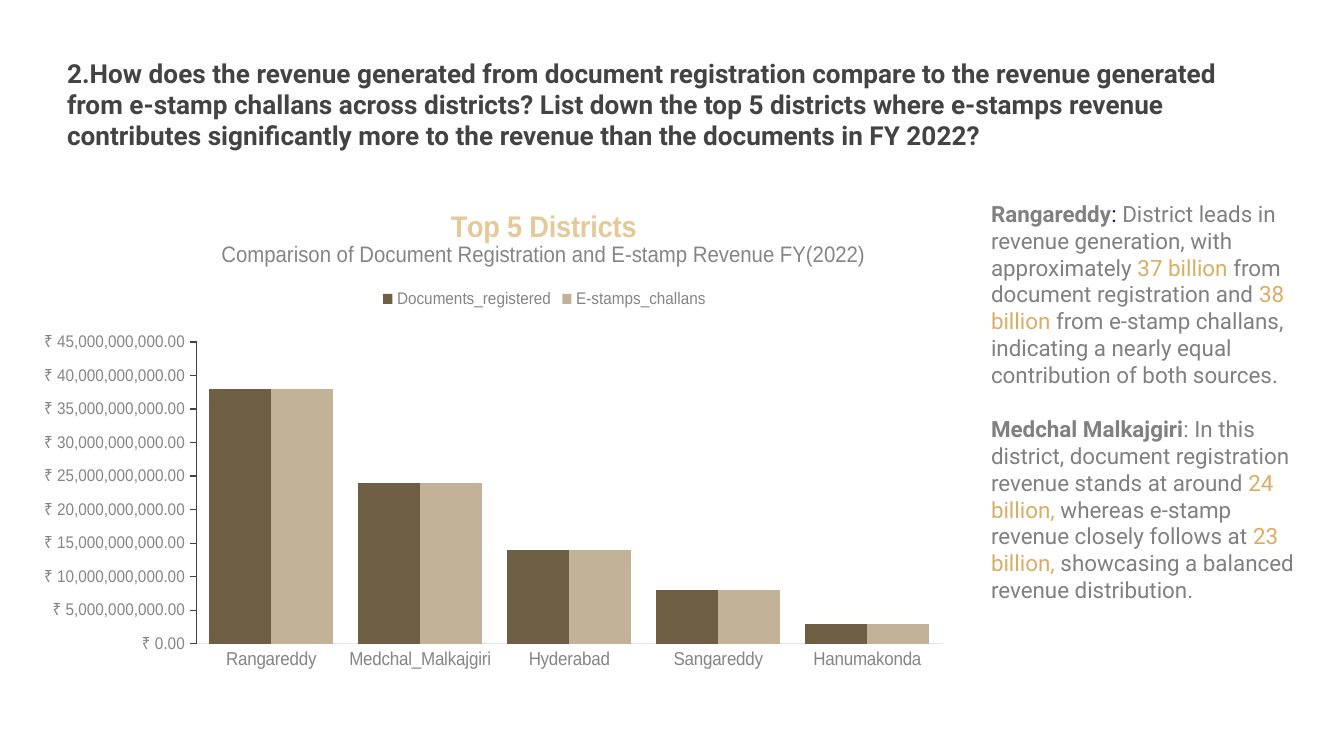
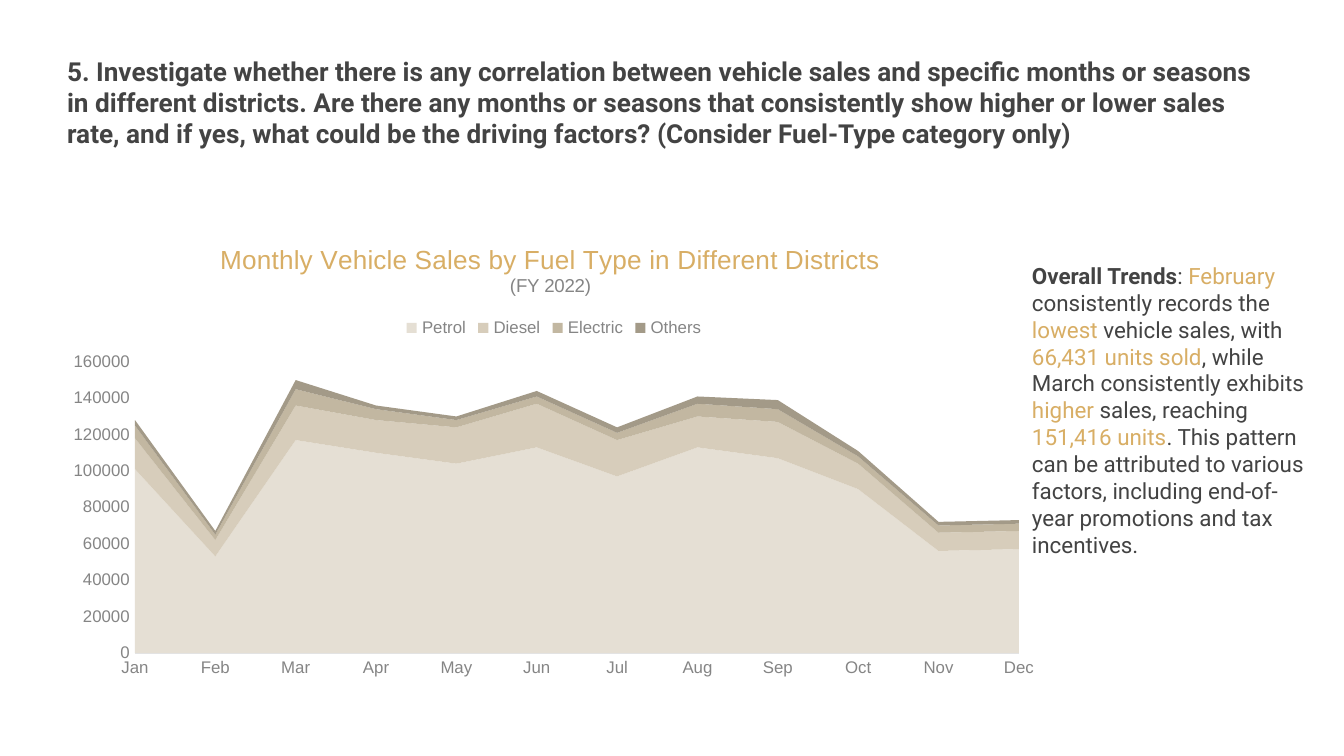
from dataclasses import dataclass

from lxml.etree import SubElement
from pptx import Presentation
from pptx.chart.data import CategoryChartData
from pptx.dml.color import RGBColor
from pptx.enum.chart import XL_CHART_TYPE as ChartType
from pptx.enum.chart import XL_LEGEND_POSITION as LegendPosition
from pptx.enum.chart import XL_TICK_LABEL_POSITION as LabelPosition
from pptx.enum.chart import XL_TICK_MARK as TickMark
from pptx.enum.text import MSO_ANCHOR, PP_ALIGN
from pptx.oxml.ns import qn
from pptx.util import Emu, Pt

PX = 914400 / 134.4


@dataclass(frozen=True)
class Theme:
    ink: str = "434343"
    grey: str = "808080"
    navy: str = "002060"
    gold: str = "D8AE65"
    pale_gold: str = "E5C998"
    chart_grey: str = "858585"
    axis_line: str = "E3E3E3"
    bars: tuple = ("6E5E43", "C1B298")
    areas: tuple = ("E5DFD4", "D7CDBB", "C2B7A1", "A39A88")
    text_font: str = "Roboto"
    chart_font: str = "Arial"
    heading: int = 14
    body: int = 12
    label: int = 9
    category: int = 10
    bar_title: int = 16
    bar_subtitle: int = 12
    area_title: int = 14
    area_subtitle: int = 10
    inset: int = 13
    paragraph_gap: float = 14.4


THEME = Theme()


def px(length):
    return Emu(round(length * PX))


def set_font(font, size, color=None, name=THEME.chart_font, bold=None):
    font.name = name
    font.size = Pt(size)
    font.bold = bold
    if color:
        font.color.rgb = RGBColor.from_string(color)


def add_text_box(page, box):
    frame = page.shapes.add_textbox(*map(px, box)).text_frame
    frame.word_wrap = True
    frame.vertical_anchor = MSO_ANCHOR.TOP
    frame.margin_left = frame.margin_right = px(THEME.inset)
    frame.margin_top = frame.margin_bottom = px(THEME.inset)
    return frame


def add_heading(page, top, text):
    para = add_text_box(page, (54, top, 1238, 113)).paragraphs[0]
    para.text = text
    set_font(para.font, THEME.heading, THEME.ink, THEME.text_font, True)


def add_commentary(page, box, paragraphs):
    """Each paragraph is a bold lead followed by (text, colour) spans."""
    frame = add_text_box(page, box)
    for number, (lead, lead_color, spans) in enumerate(paragraphs):
        para = frame.add_paragraph() if number else frame.paragraphs[0]
        if number:
            para.space_before = Pt(THEME.paragraph_gap)
        set_font(para.font, THEME.body, name=THEME.text_font)
        for position, (text, color) in enumerate([(lead, lead_color), *spans]):
            span = para.add_run()
            span.text = text
            span.font.bold = position == 0
            span.font.color.rgb = RGBColor.from_string(color)


def place_part(element, chart_box, part):
    """Pin a title, legend or plot area; part is px from the chart's corner."""
    for old in element.findall(qn("c:layout")):
        element.remove(old)
    layout = element.makeelement(qn("c:layout"))
    overlay = element.find(qn("c:overlay"))
    element.insert(0 if overlay is None else element.index(overlay), layout)
    manual = SubElement(layout, qn("c:manualLayout"))

    def setting(tag, value):
        SubElement(manual, qn(f"c:{tag}")).set("val", str(value))

    if element.tag == qn("c:plotArea"):
        setting("layoutTarget", "inner")
    setting("xMode", "edge")
    setting("yMode", "edge")
    width, height = chart_box[2:]
    for tag, length, whole in zip("xywh", part, (width, height) * 2):
        setting(tag, round(length / whole, 4))


def add_chart_title(chart, lines):
    """Lines are (text, size, colour, bold)."""
    frame = chart.chart_title.text_frame
    for number, (text, size, color, bold) in enumerate(lines):
        para = frame.add_paragraph() if number else frame.paragraphs[0]
        para.text = text
        para.alignment = PP_ALIGN.CENTER
        set_font(para.font, size, color, bold=bold)


def style_axis(axis, size, line, tick=TickMark.NONE):
    axis.has_major_gridlines = False
    axis.major_tick_mark = tick
    axis.minor_tick_mark = TickMark.NONE
    axis.tick_label_position = LabelPosition.NEXT_TO_AXIS
    set_font(axis.tick_labels.font, size, THEME.chart_grey)
    if line:
        axis.format.line.color.rgb = RGBColor.from_string(line)
        axis.format.line.width = Pt(0.75)
    else:
        axis.format.line.fill.background()


def add_titled_chart(page, box, kind, categories, series, colors, title,
                     title_at, legend_box, plot_box, top_value, step):
    data = CategoryChartData()
    data.categories = categories
    for name, values in series.items():
        data.add_series(name, values)
    chart = page.shapes.add_chart(kind, *map(px, box), data).chart
    set_font(chart.font, THEME.category, THEME.ink)
    add_chart_title(chart, title)

    chart.has_legend = True
    chart.legend.position = LegendPosition.TOP
    chart.legend.include_in_layout = False
    set_font(chart.legend.font, THEME.label, THEME.chart_grey)

    plot = chart.plots[0]
    plot.vary_by_categories = False
    for one_series, color in zip(plot.series, colors):
        one_series.format.fill.solid()
        one_series.format.fill.fore_color.rgb = RGBColor.from_string(color)

    chart.value_axis.minimum_scale = 0
    chart.value_axis.maximum_scale = top_value
    chart.value_axis.major_unit = step
    space = chart._chartSpace
    for tag, part in (("title", title_at), ("legend", legend_box),
                      ("plotArea", plot_box)):
        place_part(space.chart.find(qn(f"c:{tag}")), box, part)
    return chart


def add_district_chart(page, box):
    billion = 10 ** 9
    revenue = [value * billion for value in (38, 24, 14, 8, 3)]
    chart = add_titled_chart(
        page, box, ChartType.COLUMN_CLUSTERED,
        ("Rangareddy", "Medchal_Malkajgiri", "Hyderabad", "Sangareddy",
         "Hanumakonda"),
        {"Documents_registered": revenue, "E-stamps_challans": revenue},
        THEME.bars,
        [("Top 5 Districts", THEME.bar_title, THEME.pale_gold, True),
         ("Comparison of Document Registration and E-stamp Revenue FY(2022)",
          THEME.bar_subtitle, THEME.chart_grey, False)],
        title_at=(100, 17), legend_box=(275, 98, 368, 28),
        plot_box=(77, 155, 819, 302),
        top_value=45 * billion, step=5 * billion)
    chart.plots[0].gap_width = 40
    chart.plots[0].overlap = 0
    style_axis(chart.category_axis, THEME.category, THEME.axis_line)
    style_axis(chart.value_axis, THEME.label, THEME.ink, TickMark.OUTSIDE)
    labels = chart.value_axis.tick_labels
    labels.number_format = '"₹"\\ #,##0.00'
    labels.number_format_is_linked = False


def add_fuel_chart(page, box):
    thousands = {
        "Petrol": (101, 53, 117, 110, 104, 113, 97, 113, 107, 90, 56, 57),
        "Diesel": (17, 9, 19, 18, 20, 24, 20, 17, 20, 14, 10, 10),
        "Electric": (7, 3, 9, 6, 4, 4, 4, 7, 7, 4, 4, 4),
        "Others": (3, 2, 5, 2, 2, 3, 3, 4, 5, 3, 2, 2),
    }
    chart = add_titled_chart(
        page, box, ChartType.AREA_STACKED,
        "Jan Feb Mar Apr May Jun Jul Aug Sep Oct Nov Dec".split(),
        {fuel: [value * 1000 for value in values]
         for fuel, values in thousands.items()},
        THEME.areas,
        [("Monthly Vehicle Sales by Fuel Type in Different Districts",
          THEME.area_title, THEME.gold, False),
         ("(FY 2022)", THEME.area_subtitle, THEME.chart_grey, False)],
        title_at=(162, 17), legend_box=(346, 92, 308, 28),
        plot_box=(81, 140, 884, 291), top_value=160000, step=20000)
    style_axis(chart.category_axis, THEME.label, THEME.axis_line)
    style_axis(chart.value_axis, THEME.label, None)


def build_revenue_slide(page):
    grey, gold = THEME.grey, THEME.gold
    add_heading(page, 44, (
        "2.How does the revenue generated from document registration compare "
        "to the revenue generated from e-stamp challans across districts? "
        "List down the top 5 districts where e-stamps revenue contributes "
        "significantly more to the revenue than the documents in FY 2022?"))
    add_commentary(page, (978, 187, 348, 296), [
        ("Rangareddy", grey, [
            (": ", THEME.navy),
            ("District leads in revenue generation, with approximately ", grey),
            ("37 billion ", gold),
            ("from document registration and ", grey),
            ("38 billion", gold),
            (" from e-stamp challans, indicating a nearly equal contribution "
             "of both sources.", grey)]),
        ("Medchal Malkajgiri", grey, [
            (": In this district, document registration revenue stands at "
             "around ", grey),
            ("24 billion, ", gold),
            ("whereas e-stamp revenue closely follows at", grey),
            (" 23 billion,", gold),
            (" showcasing a balanced revenue distribution.", grey)])])
    add_district_chart(page, (44, 187, 917, 520))


def build_vehicle_slide(page):
    ink, gold = THEME.ink, THEME.gold
    add_heading(page, 42, (
        "5. Investigate whether there is any correlation between vehicle "
        "sales and specific months or seasons in different districts. Are "
        "there any months or seasons that consistently show higher or lower "
        "sales rate, and if yes, what could be the driving factors? "
        "(Consider Fuel-Type category only)"))
    add_fuel_chart(page, (54, 222, 1001, 464))
    add_commentary(page, (1019, 249, 314, 286), [
        ("Overall Trends", ink, [
            (": ", ink),
            ("February ", gold),
            ("consistently records the ", ink),
            ("lowest", gold),
            (" vehicle sales, with ", ink),
            ("66,431 units sold", gold),
            (", while March consistently exhibits ", ink),
            ("higher", gold),
            (" sales, reaching ", ink),
            ("151,416 units", gold),
            (". This pattern can be attributed to various factors, including "
             "end-of-year promotions and tax incentives.", ink)])])


def main():
    deck = Presentation()
    deck.slide_width, deck.slide_height = px(1344), px(756)
    blank = deck.slide_layouts[6]
    for build in (build_revenue_slide, build_vehicle_slide):
        build(deck.slides.add_slide(blank))
    deck.save("out.pptx")


if __name__ == "__main__":
    main()
